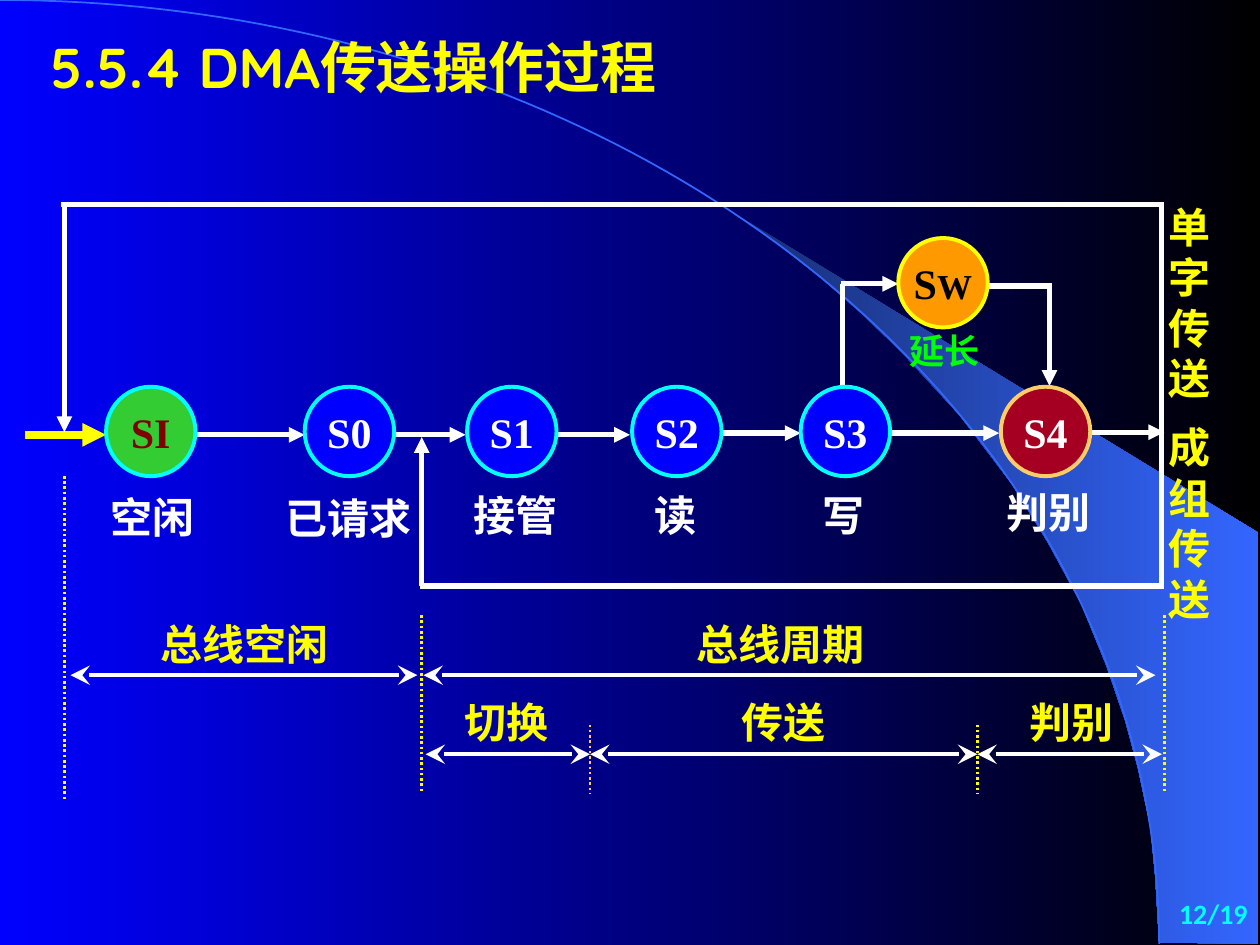
from dataclasses import dataclass
from math import cos, pi, sin

from lxml import etree
from pptx import Presentation
from pptx.dml.color import RGBColor
from pptx.enum.dml import MSO_LINE
from pptx.enum.shapes import MSO_CONNECTOR, MSO_SHAPE
from pptx.enum.text import MSO_ANCHOR, PP_ALIGN
from pptx.oxml.ns import qn
from pptx.util import Pt

LEFT, CENTER, RIGHT = PP_ALIGN.LEFT, PP_ALIGN.CENTER, PP_ALIGN.RIGHT
TOP, MIDDLE = MSO_ANCHOR.TOP, MSO_ANCHOR.MIDDLE
STRAIGHT, OVAL, DOTTED = MSO_CONNECTOR.STRAIGHT, MSO_SHAPE.OVAL, MSO_LINE.ROUND_DOT

BLUE = RGBColor(0x00, 0x00, 0xFF)
BLACK = RGBColor(0x00, 0x00, 0x00)
WHITE = RGBColor(0xFF, 0xFF, 0xFF)
YELLOW = RGBColor(0xFF, 0xFF, 0x00)
CYAN = RGBColor(0x00, 0xFF, 0xFF)
GREEN = RGBColor(0x33, 0xCC, 0x33)
LIME = RGBColor(0x00, 0xFF, 0x00)
MAROON = RGBColor(0x80, 0x00, 0x00)
CRIMSON = RGBColor(0xA5, 0x00, 0x21)
ORANGE = RGBColor(0xFF, 0x99, 0x00)
SAND = RGBColor(0xFF, 0xCC, 0x66)
NAVY = RGBColor(0x18, 0x2F, 0x76)
SKY = RGBColor(0x33, 0x66, 0xFF)

DIAMETER = 51.1
STATE_TOP = 221


@dataclass
class State:
    name: str
    left: float
    top: float = STATE_TOP
    fill: RGBColor = BLUE
    outline: RGBColor = CYAN
    color: RGBColor = WHITE
    small_tail: str = ""


@dataclass
class Stroke:
    x1: float
    y1: float
    x2: float
    y2: float
    color: RGBColor = WHITE
    width: float = 3
    head: str = ""
    tail: str = ""
    dotted: bool = False


@dataclass
class Label:
    text: str
    left: float
    top: float
    width: float
    height: float = 36.4
    color: RGBColor = YELLOW
    size: float = 24
    font: str = "Times New Roman"
    align: PP_ALIGN = CENTER
    anchor: MSO_ANCHOR = TOP
    wrap: bool = True


STATES = [
    State("SI", 60.6, fill=GREEN, color=MAROON),
    State("S0", 174.1),
    State("S1", 266.9),
    State("S2", 361.2),
    State("S3", 457.5),
    State("S4", 571.9, fill=CRIMSON, outline=SAND),
    State("S", 513.3, 136, ORANGE, YELLOW, BLACK, "W"),
]


def arrow(x1: float, y1: float, x2: float, y2: float, **style) -> Stroke:
    return Stroke(x1, y1, x2, y2, tail="triangle", **style)


def span(x1: float, x2: float, y: float) -> Stroke:
    return Stroke(x1, y, x2, y, width=2.25, head="stealth", tail="stealth")


def boundary(x: float, top: float, bottom: float, color: RGBColor = YELLOW) -> Stroke:
    return Stroke(x, top, x, bottom, color=color, width=1.5, dotted=True)


def centered(text: str, middle: float, top: float, color: RGBColor = YELLOW,
             size: float = 24) -> Label:
    width = len(text) * size + 24
    return Label(text, round(middle - width / 2, 2), top, width,
                 color=color, size=size, wrap=False)


STROKES = [
    arrow(14.2, 248.5, 60.6, 248.5, color=YELLOW, width=4.5),
    arrow(111.7, 248.5, 174.1, 248.5),
    arrow(225.2, 248.5, 266, 248.5),
    arrow(319, 248.5, 360, 248.5),
    arrow(412, 247.5, 457.5, 247.5),
    arrow(508.6, 247.5, 571, 247.5),
    arrow(624, 247, 665.3, 247),
    arrow(480.4, 162.2, 513.3, 162.2),
    Stroke(481.6, 162.2, 481.6, 227),
    Stroke(559.5, 163.4, 601, 163.4),
    arrow(599.7, 163.4, 599.7, 220.5),
    Stroke(663.6, 115.5, 663.6, 335.5),
    Stroke(241, 249.8, 241, 334.8, head="triangle"),
    Stroke(239.8, 334.8, 665, 334.8),
    Stroke(34.6, 116.8, 664, 116.8),
    arrow(36.8, 116.8, 36.8, 247),
    boundary(36.8, 272, 457.2),
    boundary(241, 351.5, 453.6),
    boundary(665.3, 351.5, 453.6),
    boundary(337.2, 414, 453.6, SAND),
    boundary(558.5, 414, 453.6),
    span(40.3, 238.5, 385.8),
    span(242, 660.3, 385.8),
    span(243.2, 337.2, 431),
    span(337.2, 558.5, 431),
    span(558.5, 664, 431),
]

LABELS = [
    centered("空闲", 87, 277.2, WHITE),
    centered("已请求", 199.4, 278, WHITE),
    centered("接管", 294.7, 276, WHITE),
    centered("读", 385.8, 276, WHITE),
    centered("写", 482.1, 276, WHITE),
    centered("判别", 599, 274.3, WHITE),
    centered("延长", 539.6, 185, LIME, 20),
    centered("总线空闲", 139.8, 350),
    centered("总线周期", 446.1, 350),
    centered("切换", 289.4, 394.6),
    centered("传送", 447.5, 394.6),
    centered("判别", 612.3, 394.6),
    Label("单字传送", 660.6, 111.6, 39.6, 122.4, align=LEFT),
    Label("成组传\n送", 660.6, 237.6, 39.6, 122.4, align=LEFT),
    Label("12/19", 570.2, 504, 149.8, 36, CYAN, 16, "Calibri", RIGHT, MIDDLE),
]

BEAM = [
    (662.4, 538.6), (719.3, 539.3), (719.3, 304.6), (424.1, 124.6), (449.3, 143.3),
    (470.2, 159.8), (493.2, 180), (515.5, 201.6), (548.6, 237.6), (578.2, 276.5),
    (599, 310.3), (617.8, 344.9), (632.2, 380.2), (643, 411.8), (650.2, 438.5),
    (657.4, 472.3), (660.2, 501.1), (662.4, 538.6),
]
ARC_WIDTH, ARC_HEIGHT, ARC_STEPS = 662.4, 539.3, 90
ARC_ANGLES = [pi / 2 * step / ARC_STEPS for step in range(ARC_STEPS + 1)]
ARC = [(ARC_WIDTH * sin(angle), ARC_HEIGHT * (1 - cos(angle))) for angle in ARC_ANGLES]


def write_text(frame, text: str, *, size: float, color: RGBColor,
               font: str = "Times New Roman", align: PP_ALIGN = CENTER,
               anchor: MSO_ANCHOR = TOP, wrap: bool = False, small_tail: str = "") -> None:
    frame.word_wrap = wrap
    frame.vertical_anchor = anchor
    frame.text = text
    if small_tail:
        frame.paragraphs[-1].add_run().text = small_tail
    for paragraph in frame.paragraphs:
        paragraph.alignment = align
        paragraph.space_before = Pt(0)
        for index, run in enumerate(paragraph.runs):
            run.font.size = Pt(20 if index else size)
            run.font.name = font
            run.font.bold = True
            run.font.color.rgb = color


def set_gradient(fill, start: RGBColor, end: RGBColor) -> None:
    fill.gradient()
    fill.gradient_angle = 0
    for stop, color in zip(fill.gradient_stops, (start, end)):
        stop.color.rgb = color


def draw_outline(slide, points: list[tuple[float, float]], close: bool):
    (x, y), *others = [(Pt(x), Pt(y)) for x, y in points]
    builder = slide.shapes.build_freeform(x, y)
    builder.add_line_segments(others, close=close)
    shape = builder.convert_to_shape()
    shape.shadow.inherit = False
    return shape


def draw_backdrop(slide) -> None:
    set_gradient(slide.background.fill, BLUE, BLACK)
    beam = draw_outline(slide, BEAM, True)
    set_gradient(beam.fill, NAVY, SKY)
    beam.line.fill.background()
    arc = draw_outline(slide, ARC, False)
    arc.fill.background()
    arc.line.color.rgb = SKY
    arc.line.width = Pt(1)


def draw_title(slide) -> None:
    title = slide.shapes.title
    title.left, title.top, title.width, title.height = Pt(21.6), Pt(14.6), Pt(581.8), Pt(46)
    write_text(title.text_frame, "5.5.4 DMA传送操作过程", size=32, color=YELLOW,
               font="Quicksand", align=LEFT, anchor=MIDDLE, wrap=True)
    title.element.getparent().append(title.element)


def draw_stroke(slide, stroke: Stroke) -> None:
    connector = slide.shapes.add_connector(
        STRAIGHT, Pt(stroke.x1), Pt(stroke.y1), Pt(stroke.x2), Pt(stroke.y2))
    connector.line.color.rgb = stroke.color
    connector.line.width = Pt(stroke.width)
    if stroke.dotted:
        connector.line.dash_style = DOTTED
    properties = connector.element.spPr
    line = properties.find(qn("a:ln"))
    for tag, kind in (("a:headEnd", stroke.head), ("a:tailEnd", stroke.tail)):
        if kind:
            size = "lg" if kind == "stealth" else "med"
            etree.SubElement(line, qn(tag), type=kind, w=size, len=size)
    etree.SubElement(properties, qn("a:effectLst"))


def draw_state(slide, state: State) -> None:
    shape = slide.shapes.add_shape(
        OVAL, Pt(state.left), Pt(state.top), Pt(DIAMETER), Pt(DIAMETER))
    shape.shadow.inherit = False
    shape.fill.solid()
    shape.fill.fore_color.rgb = state.fill
    shape.line.color.rgb = state.outline
    shape.line.width = Pt(2.25)
    write_text(shape.text_frame, state.name, size=24, color=state.color,
               anchor=MIDDLE, small_tail=state.small_tail)


def draw_label(slide, label: Label) -> None:
    box = slide.shapes.add_textbox(
        Pt(label.left), Pt(label.top), Pt(label.width), Pt(label.height))
    write_text(box.text_frame, label.text, size=label.size, color=label.color,
               font=label.font, align=label.align, anchor=label.anchor, wrap=label.wrap)


def main() -> None:
    presentation = Presentation()
    presentation.slide_width, presentation.slide_height = Pt(720), Pt(540)
    slide = presentation.slides.add_slide(presentation.slide_layouts[5])
    draw_backdrop(slide)
    draw_title(slide)
    for draw, items in ((draw_stroke, STROKES), (draw_state, STATES), (draw_label, LABELS)):
        for item in items:
            draw(slide, item)
    presentation.save("out.pptx")


if __name__ == "__main__":
    main()
